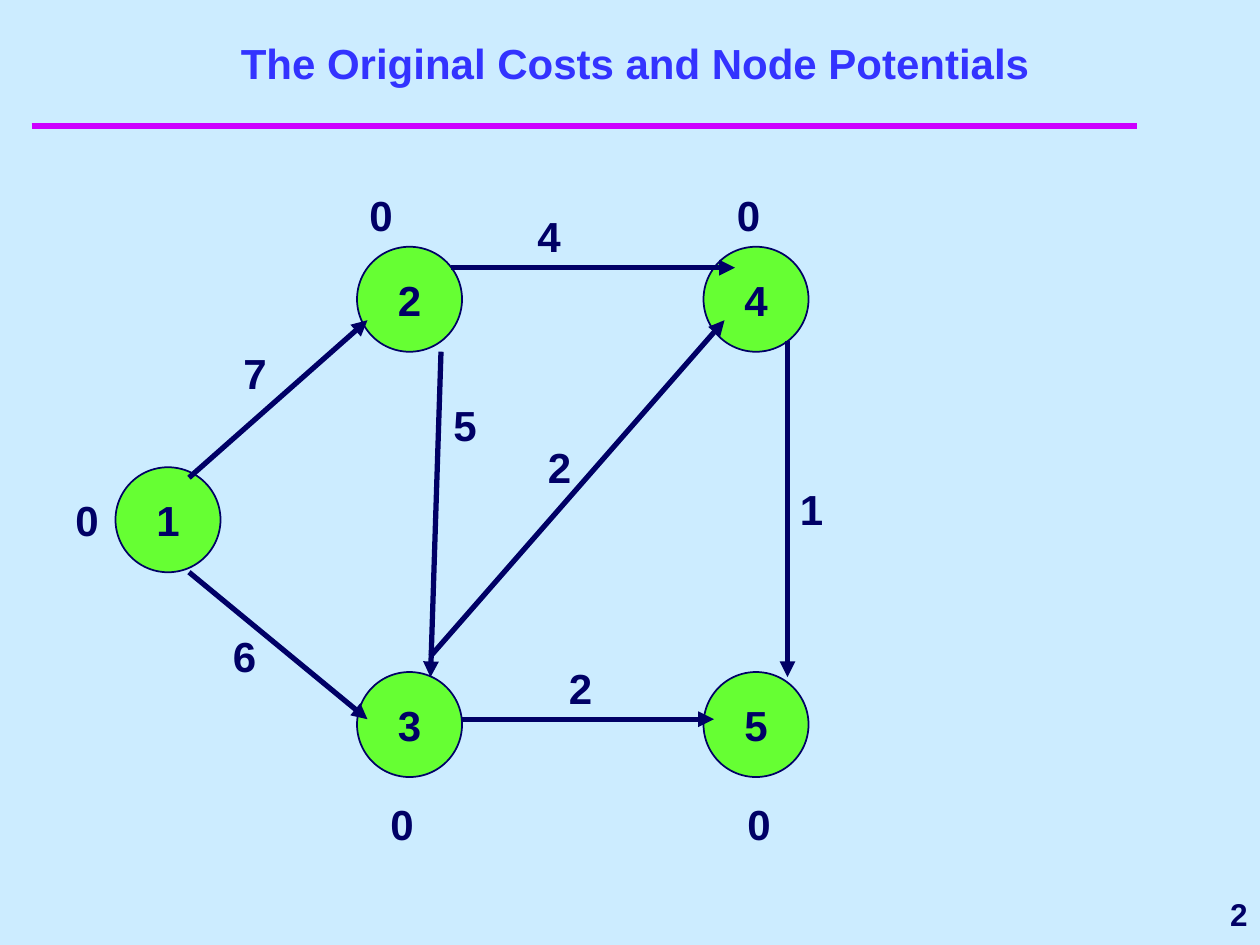
import pptx
import pptx.dml.color
import pptx.enum.shapes
import pptx.enum.text
import pptx.oxml.ns
import pptx.util
from lxml import etree

Pt = pptx.util.Pt
RGBColor = pptx.dml.color.RGBColor
Align = pptx.enum.text.PP_ALIGN
Anchor = pptx.enum.text.MSO_ANCHOR

SKY = RGBColor(0xCC, 0xEC, 0xFF)
NAVY = RGBColor(0x00, 0x00, 0x66)
BLUE = RGBColor(0x33, 0x33, 0xFF)
GREEN = RGBColor(0x66, 0xFF, 0x33)
MAGENTA = RGBColor(0xCC, 0x00, 0xFF)

TITLE = "The Original Costs and Node Potentials"
PAGE_NUMBER = "2"
NODE_SIZE = 60
LABEL_HEIGHT = 36
POTENTIAL_WIDTH = 48

# name, (left, top), potential, (left, top) of the potential
NODES = [
    ("1", (66, 267), "0", (36, 279)),
    ("2", (204, 141), "0", (204, 105)),
    ("3", (204, 384), "0", (216, 453)),
    ("5", (402, 384), "0", (420, 453)),
    ("4", (402, 141), "0", (414, 105)),
]
# start, end, cost, (left, top, width) of the cost
ARCS = [
    ((108, 273), (210, 183), "7", (132, 195, 84)),
    ((258, 153), (420, 153), "4", (300, 117, 30)),
    ((450, 195), (450, 387), "1", (450, 273, 30)),
    ((246, 375), (414, 183), "2", (306, 249, 42)),
    ((108, 327), (210, 411), "6", (126, 357, 84)),
    ((264, 411), (408, 411), "2", (318, 375, 42)),
    ((252, 201), (246, 387), "5", (252, 225, 48)),
]


def write(frame, text, color=NAVY, size=24, align=Align.LEFT, anchor=Anchor.TOP):
    frame.text = text
    frame.vertical_anchor = anchor
    para = frame.paragraphs[0]
    para.alignment = align
    font = para.runs[0].font
    font.name = "Arial"
    font.size = Pt(size)
    font.bold = True
    font.color.rgb = color


def add_label(page, text, left, top, width, height=LABEL_HEIGHT, **style):
    box = page.shapes.add_textbox(Pt(left), Pt(top), Pt(width), Pt(height))
    box.text_frame.word_wrap = True
    write(box.text_frame, text, **style)


def add_line(page, start, end, color, width, arrow=False):
    line = page.shapes.add_connector(
        pptx.enum.shapes.MSO_CONNECTOR.STRAIGHT, *(Pt(value) for value in start + end)
    )
    line.line.color.rgb = color
    line.line.width = Pt(width)
    qn = pptx.oxml.ns.qn
    if arrow:
        etree.SubElement(line.line._get_or_add_ln(), qn("a:tailEnd"), type="triangle")
    etree.SubElement(line._element.spPr, qn("a:effectLst"))


def add_node(page, name, left, top):
    node = page.shapes.add_shape(
        pptx.enum.shapes.MSO_SHAPE.OVAL, Pt(left), Pt(top), Pt(NODE_SIZE), Pt(NODE_SIZE)
    )
    node.shadow.inherit = False
    node.fill.solid()
    node.fill.fore_color.rgb = GREEN
    node.line.color.rgb = NAVY
    node.line.width = Pt(1)
    node.text_frame.word_wrap = False
    write(node.text_frame, name, align=Align.CENTER, anchor=Anchor.MIDDLE)


def main():
    deck = pptx.Presentation()
    deck.slide_width, deck.slide_height = Pt(720), Pt(540)
    page = deck.slides.add_slide(deck.slide_layouts.get_by_name("Title Only"))
    page.background.fill.solid()
    page.background.fill.fore_color.rgb = SKY

    add_line(page, (18, 72), (650, 72), MAGENTA, 4)
    title = page.shapes.title
    title.left, title.top, title.width, title.height = Pt(30), Pt(24), Pt(666), Pt(30)
    title.text_frame.auto_size = pptx.enum.text.MSO_AUTO_SIZE.NONE
    write(title.text_frame, TITLE, BLUE, align=Align.CENTER, anchor=Anchor.BOTTOM)

    for name, corner, _, _ in NODES:
        add_node(page, name, *corner)
    for start, end, _, _ in ARCS:
        add_line(page, start, end, NAVY, 3, arrow=True)
    for _, _, cost, place in ARCS:
        add_label(page, cost, *place)
    for _, _, potential, corner in NODES:
        add_label(page, potential, *corner, POTENTIAL_WIDTH)

    add_label(page, PAGE_NUMBER, 582, 504, 138,
              size=18, align=Align.RIGHT, anchor=Anchor.MIDDLE)
    deck.save("out.pptx")


if __name__ == "__main__":
    main()
